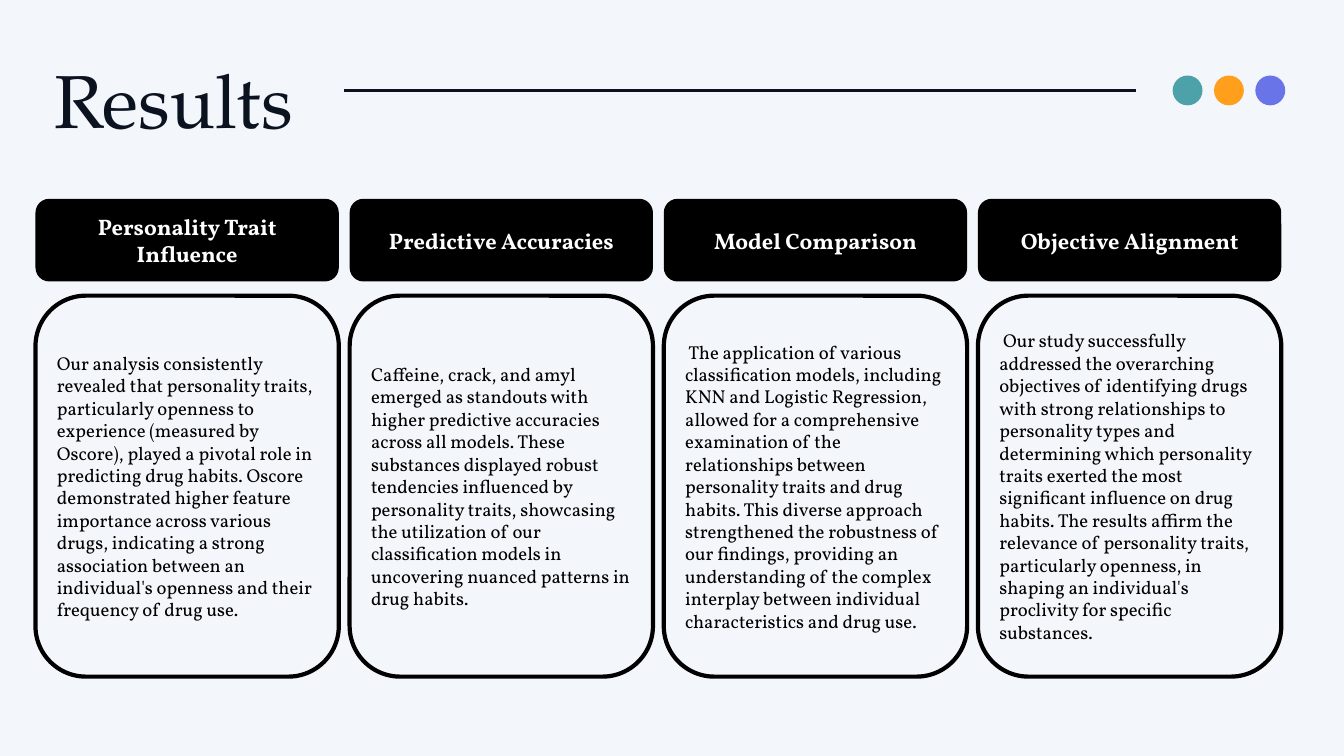
from dataclasses import dataclass

from pptx import Presentation
from pptx.dml.color import RGBColor
from pptx.enum.shapes import MSO_CONNECTOR, MSO_SHAPE
from pptx.enum.text import MSO_ANCHOR, PP_ALIGN
from pptx.oxml.ns import qn
from pptx.util import Pt
from lxml import etree

ROUND_RECT = MSO_SHAPE.ROUNDED_RECTANGLE
OVAL = MSO_SHAPE.OVAL
STRAIGHT = MSO_CONNECTOR.STRAIGHT
LEFT, CENTER = PP_ALIGN.LEFT, PP_ALIGN.CENTER
TOP, MIDDLE = MSO_ANCHOR.TOP, MSO_ANCHOR.MIDDLE

INK, BLACK, WHITE, PAPER = "0B1320", "000000", "FFFFFF", "F3F6FA"
TITLE_FONT, BODY_FONT = "TeX Gyre Pagella", "Vollkorn"

# Column grid
COL_LEFT, COL_PITCH, COL_WIDTH = 38, 336.6, 325
HEAD_TOP, HEAD_HEIGHT = 213, 88.6
BODY_TOP, BODY_HEIGHT = 316.8, 408.2

# Dot row
DOT_LEFT, DOT_TOP, DOT_PITCH, DOT_SIZE = 1256.4, 80.9, 44.3, 32
DOT_COLORS = ("4DA1A9", "FF9F1C", "6874E8")


@dataclass
class Finding:
    heading: str
    body: str


FINDINGS = (
    Finding(
        "Personality Trait Influence",
        "Our analysis consistently revealed that personality traits, particularly "
        "openness to experience (measured by Oscore), played a pivotal role in "
        "predicting drug habits. Oscore demonstrated higher feature importance "
        "across various drugs, indicating a strong association between "
        "an individual's openness and their frequency of drug use.",
    ),
    Finding(
        "Predictive Accuracies",
        "Caffeine, crack, and amyl emerged as standouts with higher predictive "
        "accuracies across all models. These substances displayed robust "
        "tendencies influenced by personality traits, showcasing the utilization "
        "of our classification models in uncovering nuanced patterns in drug habits.",
    ),
    Finding(
        "Model Comparison",
        " The application of various classification models, including KNN and "
        "Logistic Regression, allowed for a comprehensive examination of the "
        "relationships between personality traits and drug habits. This diverse "
        "approach strengthened the robustness of our findings, providing an "
        "understanding of the complex interplay between individual "
        "characteristics and drug use.",
    ),
    Finding(
        "Objective Alignment",
        " Our study successfully addressed the overarching objectives of "
        "identifying drugs with strong relationships to personality types "
        "and determining which personality traits exerted the most significant "
        "influence on drug habits. The results affirm the relevance of "
        "personality traits, particularly openness, in shaping an individual's "
        "proclivity for specific substances.",
    ),
)


def rgb(color: str) -> RGBColor:
    return RGBColor.from_string(color)


def write(sp, text: str, *, size: float, color: str, font: str = BODY_FONT,
          bold: bool = False, align=LEFT, anchor=MIDDLE, spacing: float = 1.0) -> None:
    tf = sp.text_frame
    tf.word_wrap = True
    tf.vertical_anchor = anchor
    p = tf.paragraphs[0]
    p.alignment = align
    p.line_spacing = spacing
    r = p.add_run()
    r.text = text
    r.font.name = font
    r.font.size = Pt(size)
    r.font.bold = bold
    r.font.color.rgb = rgb(color)


def add_shape(slide, kind, left: float, top: float, width: float, height: float, *,
              fill: str | None = None, line: str | None = None, weight: float = 0):
    sp = slide.shapes.add_shape(kind, Pt(left), Pt(top), Pt(width), Pt(height))
    sp.shadow.inherit = False
    if fill:
        sp.fill.solid()
        sp.fill.fore_color.rgb = rgb(fill)
    else:
        sp.fill.background()
    if line:
        sp.line.color.rgb = rgb(line)
        sp.line.width = Pt(weight)
    else:
        sp.line.fill.background()
    return sp


def add_title(slide, text: str) -> None:
    sp = slide.shapes.add_textbox(Pt(58.3), Pt(38.2), Pt(708), Pt(116.6))
    tf = sp.text_frame
    tf.margin_left = tf.margin_top = tf.margin_right = tf.margin_bottom = 0
    write(sp, text, size=80, color=INK, font=TITLE_FONT, anchor=TOP, spacing=1.2)


def add_rule(slide, x1: float, x2: float, y: float) -> None:
    line = slide.shapes.add_connector(STRAIGHT, Pt(x1), Pt(y), Pt(x2), Pt(y))
    line.line.color.rgb = rgb(INK)
    line.line.width = Pt(3)
    etree.SubElement(line._element.spPr, qn("a:effectLst"))


def add_finding(slide, finding: Finding, left: float) -> None:
    head = add_shape(slide, ROUND_RECT, left, HEAD_TOP, COL_WIDTH, HEAD_HEIGHT, fill=BLACK)
    write(head, finding.heading, size=24, color=WHITE, bold=True, align=CENTER)
    body = add_shape(slide, ROUND_RECT, left, BODY_TOP, COL_WIDTH, BODY_HEIGHT,
                     line=BLACK, weight=4.5)
    write(body, finding.body, size=20, color=BLACK)


def main() -> None:
    prs = Presentation()
    prs.slide_width, prs.slide_height = Pt(1440), Pt(810)
    slide = prs.slides.add_slide(prs.slide_layouts[6])
    slide.background.fill.solid()
    slide.background.fill.fore_color.rgb = rgb(PAPER)

    # Title row
    add_title(slide, "Results")
    add_rule(slide, 368.6, 1216.8, 97.2)
    for i, color in enumerate(DOT_COLORS):
        add_shape(slide, OVAL, DOT_LEFT + i * DOT_PITCH, DOT_TOP, DOT_SIZE, DOT_SIZE, fill=color)

    # Findings, one column each
    for i, finding in enumerate(FINDINGS):
        add_finding(slide, finding, COL_LEFT + i * COL_PITCH)

    prs.save("out.pptx")


if __name__ == "__main__":
    main()
